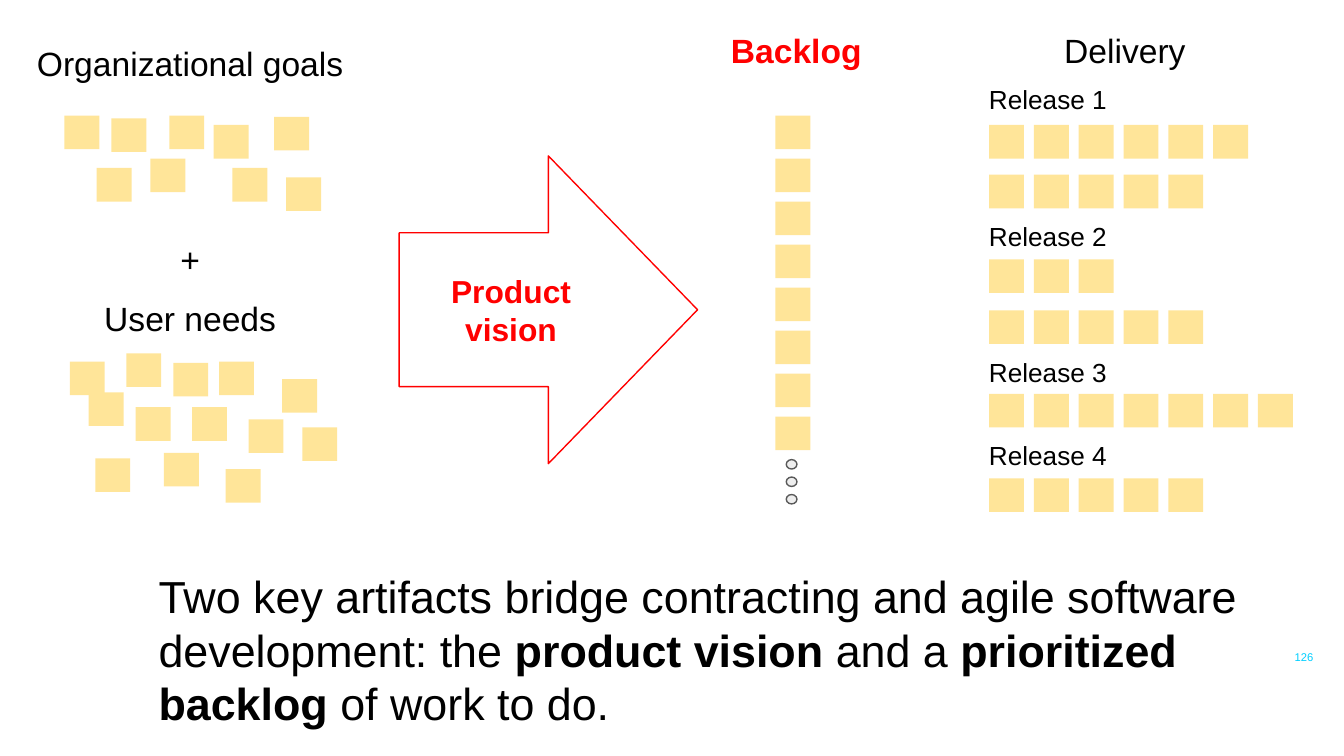
from pptx import Presentation
from pptx.dml.color import RGBColor
from pptx.enum.shapes import MSO_SHAPE
from pptx.enum.text import MSO_ANCHOR, MSO_AUTO_SIZE, PP_ALIGN
from pptx.util import Inches, Pt

BLACK = RGBColor(0x00, 0x00, 0x00)
RED = RGBColor(0xFF, 0x00, 0x00)
CYAN = RGBColor(0x00, 0xCF, 0xFF)
NOTE_YELLOW = RGBColor(0xFF, 0xE5, 0x99)
DOT_FILL = RGBColor(0xEE, 0xEE, 0xEE)
DOT_LINE = RGBColor(0x59, 0x59, 0x59)

prs = Presentation()
prs.slide_width = Inches(10)
prs.slide_height = Inches(10 * 9 / 16)
slide = prs.slides.add_slide(prs.slide_layouts[5])


def write(shape, lines, size, color=BLACK, bold=False, align=PP_ALIGN.LEFT, anchor=MSO_ANCHOR.TOP):
    frame = shape.text_frame
    frame.word_wrap = True
    frame.auto_size = MSO_AUTO_SIZE.NONE
    frame.vertical_anchor = anchor
    frame.margin_left = frame.margin_right = Inches(0.1)
    frame.margin_top = frame.margin_bottom = Inches(0.1)
    frame.text = "\n".join(lines)
    for paragraph in frame.paragraphs:
        paragraph.alignment = align
        paragraph.font.name = "Arial"
        paragraph.font.size = Pt(size)
        paragraph.font.bold = bold
        paragraph.font.color.rgb = color
    return frame


def add_note(left, top):
    note = slide.shapes.add_shape(
        MSO_SHAPE.RECTANGLE, Inches(left), Inches(top), Inches(0.26), Inches(0.25))
    note.shadow.inherit = False
    note.fill.solid()
    note.fill.fore_color.rgb = NOTE_YELLOW
    note.line.fill.background()


releases = [
    ("Release 1", 0.52, [(0.93, 6), (1.3, 5)]),
    ("Release 2", 1.54, [(1.93, 3), (2.31, 5)]),
    ("Release 3", 2.55, [(2.93, 7)]),
    ("Release 4", 3.17, [(3.56, 5)]),
]
for name, label_top, rows in releases:
    label = slide.shapes.add_textbox(
        Inches(7.26), Inches(label_top), Inches(2.22), Inches(0.33))
    write(label, [name], 14)
    for row_top, count in rows:
        for column in range(count):
            add_note(7.36 + column / 3, row_top)

goal_notes = [
    (1.59, 0.93), (1.73, 1.25), (2.13, 1.32), (2.04, 0.87), (1.26, 0.86),
    (1.12, 1.18), (0.72, 1.25), (0.48, 0.86), (0.83, 0.88),
]
need_notes = [
    (0.52, 2.69), (1.63, 2.69), (2.1, 2.82), (1.85, 3.12), (2.25, 3.18),
    (1.68, 3.49), (0.71, 3.41), (0.94, 2.63), (0.66, 2.92), (1.29, 2.7),
    (1.01, 3.03), (1.43, 3.03), (1.22, 3.37),
]
for left, top in goal_notes + need_notes:
    add_note(left, top)

for rank in range(8):
    add_note(5.77, 0.86 + 0.32 * rank)

for step in range(3):
    dot = slide.shapes.add_shape(
        MSO_SHAPE.OVAL, Inches(5.85), Inches(3.42 + 0.13 * step), Inches(0.08), Inches(0.07))
    dot.shadow.inherit = False
    dot.fill.solid()
    dot.fill.fore_color.rgb = DOT_FILL
    dot.line.color.rgb = DOT_LINE
    dot.line.width = Pt(0.75)

goals = slide.shapes.add_textbox(Inches(0), Inches(0.22), Inches(2.83), Inches(0.2))
write(goals, ["Organizational goals"], 18, align=PP_ALIGN.CENTER)

needs = slide.shapes.add_textbox(Inches(0.25), Inches(1.68), Inches(2.33), Inches(0.2))
needs_frame = write(needs, ["+", "User needs"], 18, align=PP_ALIGN.CENTER)
needs_frame.paragraphs[1].space_before = Pt(10)

backlog = slide.shapes.add_textbox(Inches(5.34), Inches(0.12), Inches(1.22), Inches(0.44))
write(backlog, ["Backlog"], 18, RED, bold=True)

delivery = slide.shapes.add_textbox(Inches(7.82), Inches(0.12), Inches(1.35), Inches(0.2))
write(delivery, ["Delivery"], 18)

vision = slide.shapes.add_shape(
    MSO_SHAPE.RIGHT_ARROW, Inches(2.97), Inches(1.16), Inches(2.22), Inches(2.29))
vision.shadow.inherit = False
vision.fill.background()
vision.line.color.rgb = RED
vision.line.width = Pt(0.75)
write(vision, ["Product vision"], 17, RED, bold=True,
      align=PP_ALIGN.CENTER, anchor=MSO_ANCHOR.MIDDLE)

page_number = slide.shapes.add_textbox(Inches(9.27), Inches(4.75), Inches(0.6), Inches(0.29))
number_frame = write(page_number, ["126"], 6, CYAN,
                     align=PP_ALIGN.RIGHT, anchor=MSO_ANCHOR.MIDDLE)
number_frame.paragraphs[0].line_spacing = 0.8

message = slide.shapes.title
message.left, message.top = Inches(1.08), Inches(4.13)
message.width, message.height = Inches(8.54), Inches(1.41)
message_frame = write(message, [""], 24)
for text, bold in [
    ("Two key artifacts bridge contracting and agile software development: the ", False),
    ("product vision ", True),
    ("and a ", False),
    ("prioritized backlog ", True),
    ("of work to do.", False),
]:
    run = message_frame.paragraphs[0].add_run()
    run.text = text
    run.font.bold = bold

prs.save("out.pptx")
